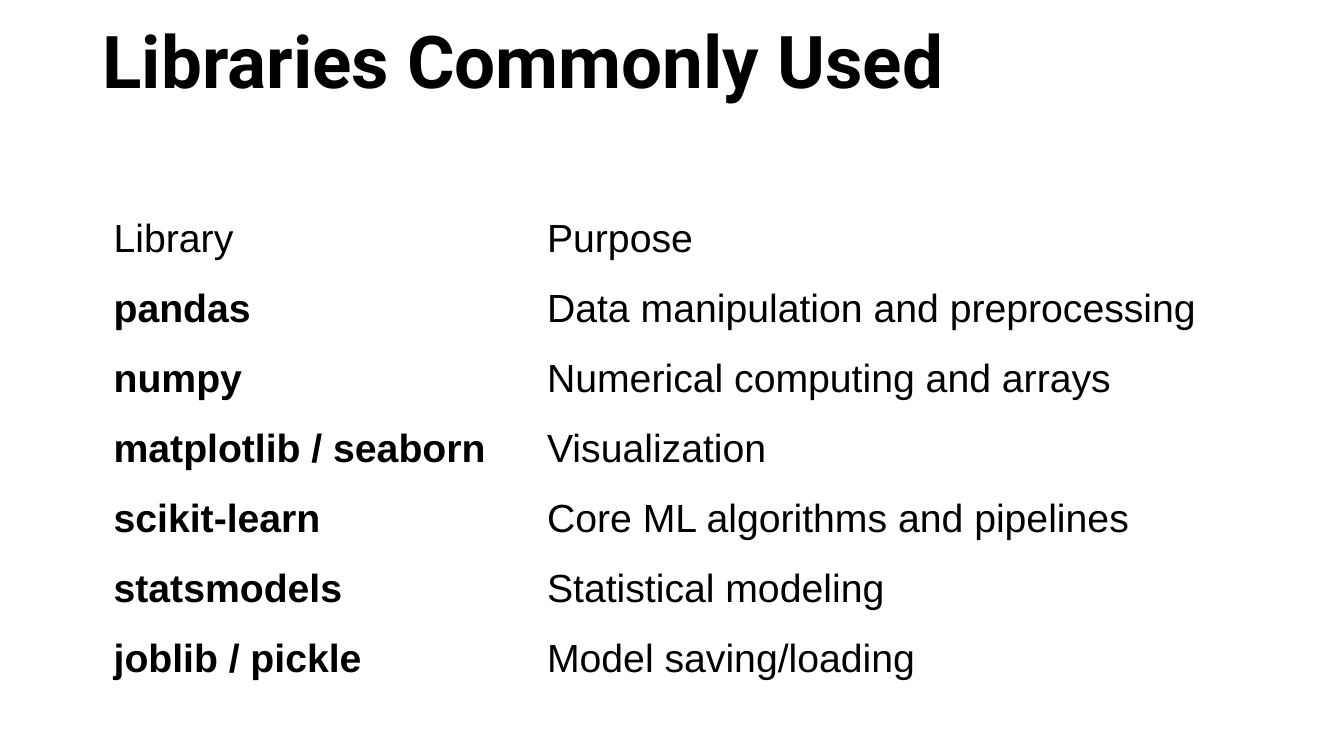
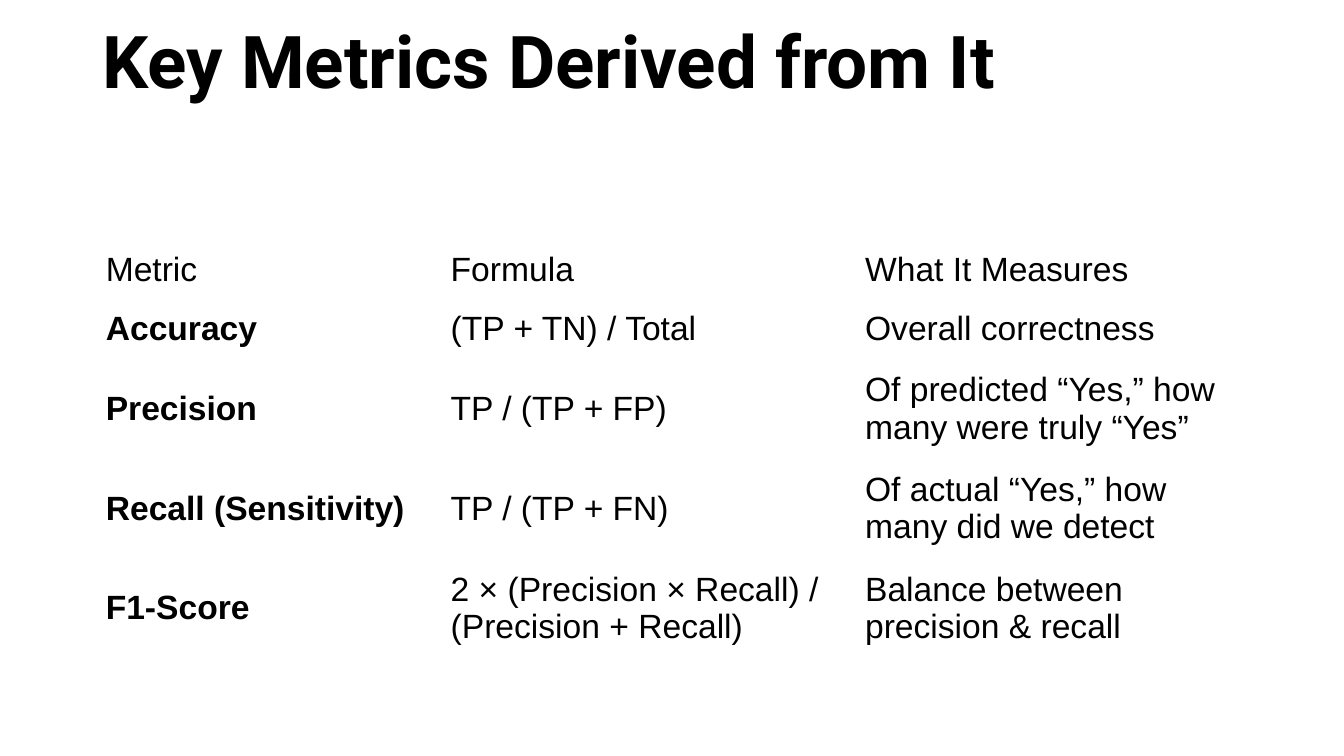
from dataclasses import dataclass

from pptx import Presentation
from pptx.dml.color import RGBColor
from pptx.enum.text import MSO_ANCHOR as Anchor, MSO_AUTO_SIZE as AutoSize, PP_ALIGN as Align
from pptx.util import Pt


@dataclass(frozen=True)
class Theme:
    ink: RGBColor = RGBColor(0x00, 0x00, 0x00)
    paper: RGBColor = RGBColor(0xFF, 0xFF, 0xFF)
    title_font: str = "Roboto"
    body_font: str = "Arial"
    title_size: int = 52
    library_size: int = 28
    metric_size: int = 24
    plain_table: str = "{2D5ABB26-0587-4C30-8999-92F81FD0307C}"


theme = Theme()


def add_text(paragraph, words, font_name, size, bold):
    run = paragraph.add_run()
    run.text = words
    run.font.name = font_name
    run.font.size = Pt(size)
    run.font.bold = bold
    run.font.color.rgb = theme.ink


# Content: lengths in points, first row is the heading row
pages = [
    {
        "title": "Libraries Commonly Used",
        "size": theme.library_size,
        "left": 69.7,
        "top": 145.4,
        "columns": [309.6, 509.8],
        "heights": [50.1] * 7,
        "margins": (11.5, 5.8),
        "rows": [
            ("Library", "Purpose"),
            ("pandas", "Data manipulation and preprocessing"),
            ("numpy", "Numerical computing and arrays"),
            ("matplotlib / seaborn", "Visualization"),
            ("scikit-learn", "Core ML algorithms and pipelines"),
            ("statsmodels", "Statistical modeling"),
            ("joblib / pickle", "Model saving/loading"),
        ],
    },
    {
        "title": "Key Metrics Derived from It",
        "size": theme.metric_size,
        "left": 66,
        "top": 171.4,
        "columns": [246.4, 296, 285.4],
        "heights": [42.5] * 2 + [71.2] * 3,
        "margins": (9.6, 4.8),
        "rows": [
            ("Metric", "Formula", "What It Measures"),
            ("Accuracy", "(TP + TN) / Total", "Overall correctness"),
            ("Precision", "TP / (TP + FP)", "Of predicted “Yes,” how many were truly “Yes”"),
            ("Recall (Sensitivity)", "TP / (TP + FN)", "Of actual “Yes,” how many did we detect"),
            ("F1-Score", "2 × (Precision × Recall) / (Precision + Recall)",
             "Balance between precision & recall"),
        ],
    },
]

deck = Presentation()
deck.slide_width, deck.slide_height = Pt(960), Pt(540)

# Shared background and title position
title_only = deck.slide_layouts.get_by_name("Title Only")
backdrop = deck.slide_master.background.fill
backdrop.solid()
backdrop.fore_color.rgb = theme.paper
heading_area = title_only.placeholders[0]
heading_area.left, heading_area.top = Pt(66), Pt(14.4)
heading_area.width, heading_area.height = Pt(828), Pt(118.8)

for page in pages:
    slide = deck.slides.add_slide(title_only)

    # Title
    heading = slide.shapes.title.text_frame
    heading.auto_size = AutoSize.NONE
    heading.vertical_anchor = Anchor.TOP
    heading_line = heading.paragraphs[0]
    heading_line.alignment = Align.LEFT
    heading_line.line_spacing = 0.9
    add_text(heading_line, page["title"], theme.title_font, theme.title_size, True)

    # Table without style, grid or banding
    rows, columns, heights = page["rows"], page["columns"], page["heights"]
    grid = slide.shapes.add_table(
        len(rows), len(columns), Pt(page["left"]), Pt(page["top"]),
        Pt(sum(columns)), Pt(sum(heights))).table
    grid.first_row = grid.horz_banding = False
    grid._tbl.tblPr[0].text = theme.plain_table
    for column, width in zip(grid.columns, columns):
        column.width = Pt(width)

    # Cells: the first column is bold below the heading row
    side, edge = page["margins"]
    for r, (entries, height) in enumerate(zip(rows, heights)):
        grid.rows[r].height = Pt(height)
        for c, words in enumerate(entries):
            cell = grid.cell(r, c)
            cell.fill.background()
            cell.vertical_anchor = Anchor.MIDDLE
            cell.margin_left = cell.margin_right = Pt(side)
            cell.margin_top = cell.margin_bottom = Pt(edge)
            add_text(cell.text_frame.paragraphs[0], words, theme.body_font,
                     page["size"], r > 0 and c == 0)

deck.save("out.pptx")
